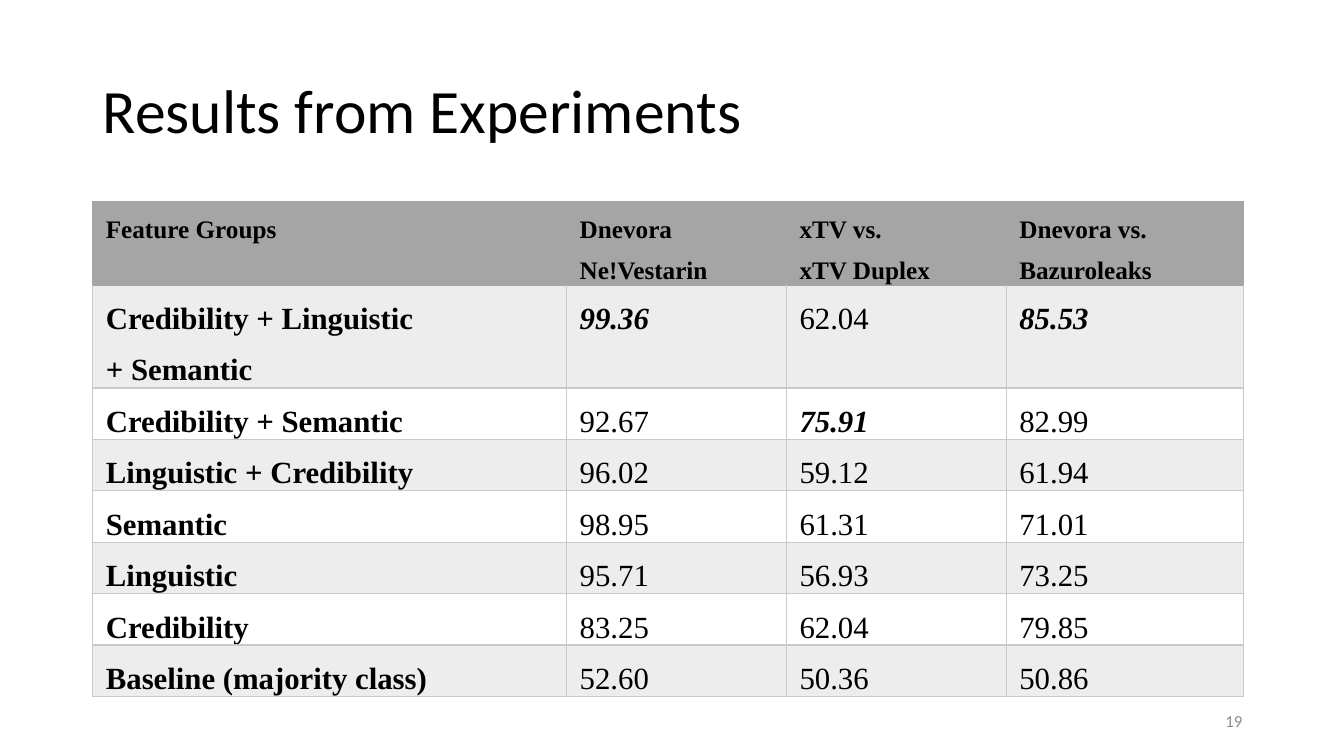
from dataclasses import dataclass

import lxml.etree
import pptx
import pptx.dml.color
import pptx.enum.text
import pptx.oxml.ns
import pptx.presentation
import pptx.slide
import pptx.table
import pptx.util

Inches = pptx.util.Inches
RGBColor = pptx.dml.color.RGBColor
Align = pptx.enum.text.PP_ALIGN

BLACK = RGBColor(0x00, 0x00, 0x00)
WHITE = RGBColor(0xFF, 0xFF, 0xFF)
HEADER_GRAY = RGBColor(0xA5, 0xA5, 0xA5)
BAND_GRAY = RGBColor(0xED, 0xED, 0xED)
BORDER_GRAY = RGBColor(0xC9, 0xC9, 0xC9)
NUMBER_GRAY = RGBColor(0x8C, 0x8C, 0x8C)

COLUMN_WIDTHS = (4.7, 2.18, 2.18, 2.35)
LINE_HEIGHT = 0.51
HEADER_HEIGHT = 0.83


@dataclass(frozen=True)
class Label:
    text: str
    left: float
    top: float
    width: float
    height: float
    size: int
    color: RGBColor
    align: Align
    line_spacing: float


@dataclass(frozen=True)
class Result:
    features: str
    scores: tuple[str, str, str]


@dataclass(frozen=True)
class CellStyle:
    size: int
    fill: RGBColor
    border: RGBColor
    top_border: RGBColor
    align: Align = Align.LEFT
    bold: bool = False
    italic: bool = False


LABELS = (
    Label("Results from Experiments", 0.92, 0.4, 11.5, 1.45, 44, BLACK, Align.LEFT, 0.9),
    Label("19", 9.42, 6.95, 3, 0.4, 12, NUMBER_GRAY, Align.RIGHT, 1.0),
)
HEADINGS = (
    "Feature Groups",
    "Dnevora\nNe!Vestarin",
    "xTV vs.\nxTV Duplex",
    "Dnevora vs.\nBazuroleaks",
)
RESULTS = (
    Result("Credibility + Linguistic\n+ Semantic", ("99.36", "62.04", "85.53")),
    Result("Credibility + Semantic", ("92.67", "75.91", "82.99")),
    Result("Linguistic + Credibility", ("96.02", "59.12", "61.94")),
    Result("Semantic", ("98.95", "61.31", "71.01")),
    Result("Linguistic", ("95.71", "56.93", "73.25")),
    Result("Credibility", ("83.25", "62.04", "79.85")),
    Result("Baseline (majority class)", ("52.60", "50.36", "50.86")),
)


def add_label(page: pptx.slide.Slide, label: Label) -> None:
    box = page.shapes.add_textbox(
        Inches(label.left), Inches(label.top), Inches(label.width), Inches(label.height)
    )
    frame = box.text_frame
    frame.word_wrap = True
    frame.vertical_anchor = pptx.enum.text.MSO_ANCHOR.MIDDLE
    para = frame.paragraphs[0]
    para.text = label.text
    para.alignment = label.align
    para.line_spacing = label.line_spacing
    para.font.name = "Calibri"
    para.font.size = pptx.util.Pt(label.size)
    para.font.color.rgb = label.color


def set_borders(cell: pptx.table._Cell, style: CellStyle) -> None:
    properties = cell._tc.get_or_add_tcPr()
    qn = pptx.oxml.ns.qn
    for position, side in enumerate("LRTB"):
        color = style.top_border if side == "T" else style.border
        line = lxml.etree.Element(qn(f"a:ln{side}"), w=str(pptx.util.Pt(1)))
        fill = lxml.etree.SubElement(line, qn("a:solidFill"))
        lxml.etree.SubElement(fill, qn("a:srgbClr"), val=str(color))
        properties.insert(position, line)


def fill_cell(cell: pptx.table._Cell, text: str, style: CellStyle) -> None:
    cell.margin_left = cell.margin_right = Inches(0.13)
    cell.margin_top = cell.margin_bottom = 0
    cell.fill.solid()
    cell.fill.fore_color.rgb = style.fill
    set_borders(cell, style)
    cell.text_frame.text = text
    for para in cell.text_frame.paragraphs:
        para.alignment = style.align
        para.line_spacing = 1.5
        para.font.name = "Times New Roman"
        para.font.size = pptx.util.Pt(style.size)
        para.font.color.rgb = BLACK
        para.font.bold = style.bold
        para.font.italic = style.italic


def add_results(page: pptx.slide.Slide) -> None:
    heights = [HEADER_HEIGHT] + [
        LINE_HEIGHT * len(result.features.splitlines()) for result in RESULTS
    ]
    table = page.shapes.add_table(
        len(heights), len(COLUMN_WIDTHS), Inches(0.92), Inches(2),
        Inches(sum(COLUMN_WIDTHS)), Inches(sum(heights)),
    ).table
    table.horz_banding = False
    for column, width in zip(table.columns, COLUMN_WIDTHS):
        column.width = Inches(width)
    for row, height in zip(table.rows, heights):
        row.height = Inches(height)

    header = CellStyle(18, HEADER_GRAY, HEADER_GRAY, HEADER_GRAY, bold=True)
    for column_index, heading in enumerate(HEADINGS):
        fill_cell(table.cell(0, column_index), heading, header)

    best_scores = [max(scores, key=float) for scores in zip(*(r.scores for r in RESULTS))]
    for row_index, result in enumerate(RESULTS, start=1):
        fill = BAND_GRAY if row_index % 2 else WHITE
        top = HEADER_GRAY if row_index == 1 else BORDER_GRAY
        name_style = CellStyle(22, fill, BORDER_GRAY, top, bold=True)
        fill_cell(table.cell(row_index, 0), result.features, name_style)
        for column_index, (score, best) in enumerate(zip(result.scores, best_scores), start=1):
            is_best = score == best
            score_style = CellStyle(
                22, fill, BORDER_GRAY, top, Align.JUSTIFY, bold=is_best, italic=is_best
            )
            fill_cell(table.cell(row_index, column_index), score, score_style)


def main() -> None:
    deck = pptx.Presentation()
    deck.slide_width = Inches(13.33)
    deck.slide_height = Inches(7.5)
    page = deck.slides.add_slide(deck.slide_layouts[6])
    add_results(page)
    for label in LABELS:
        add_label(page, label)
    deck.save("out.pptx")


if __name__ == "__main__":
    main()
